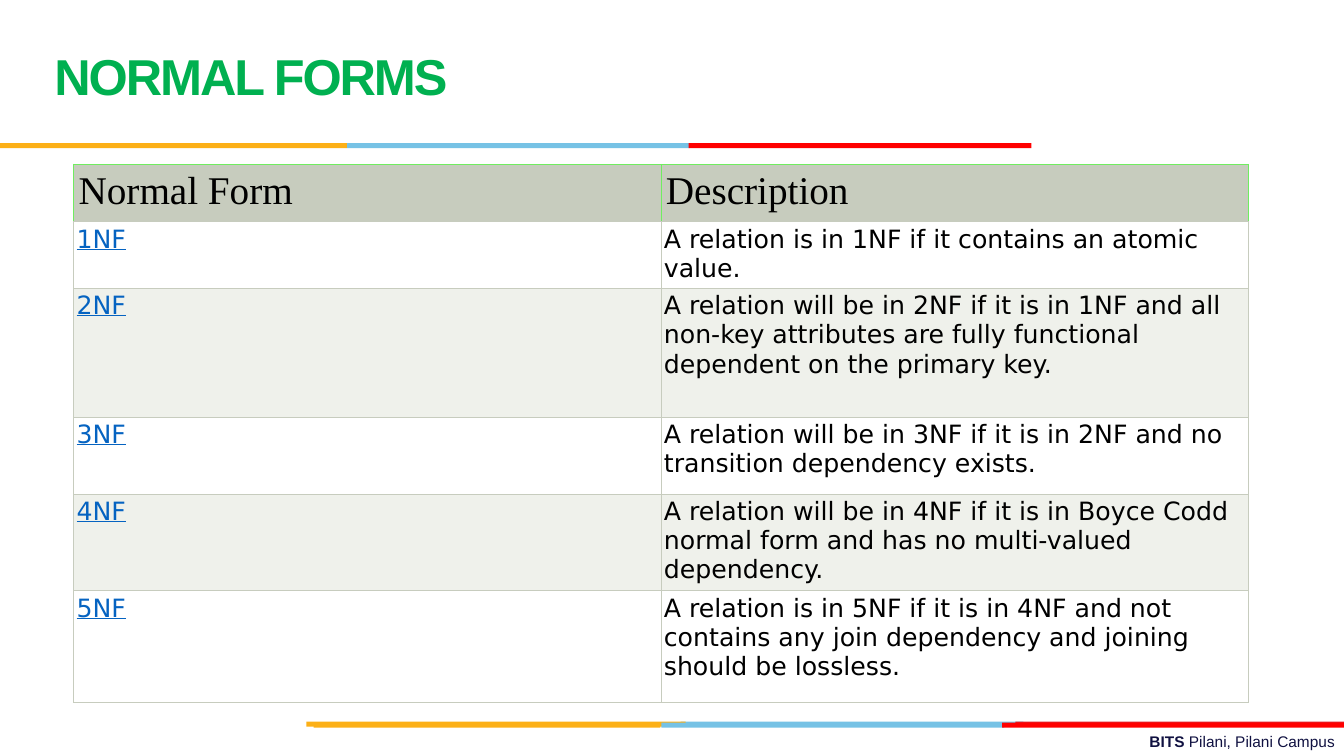
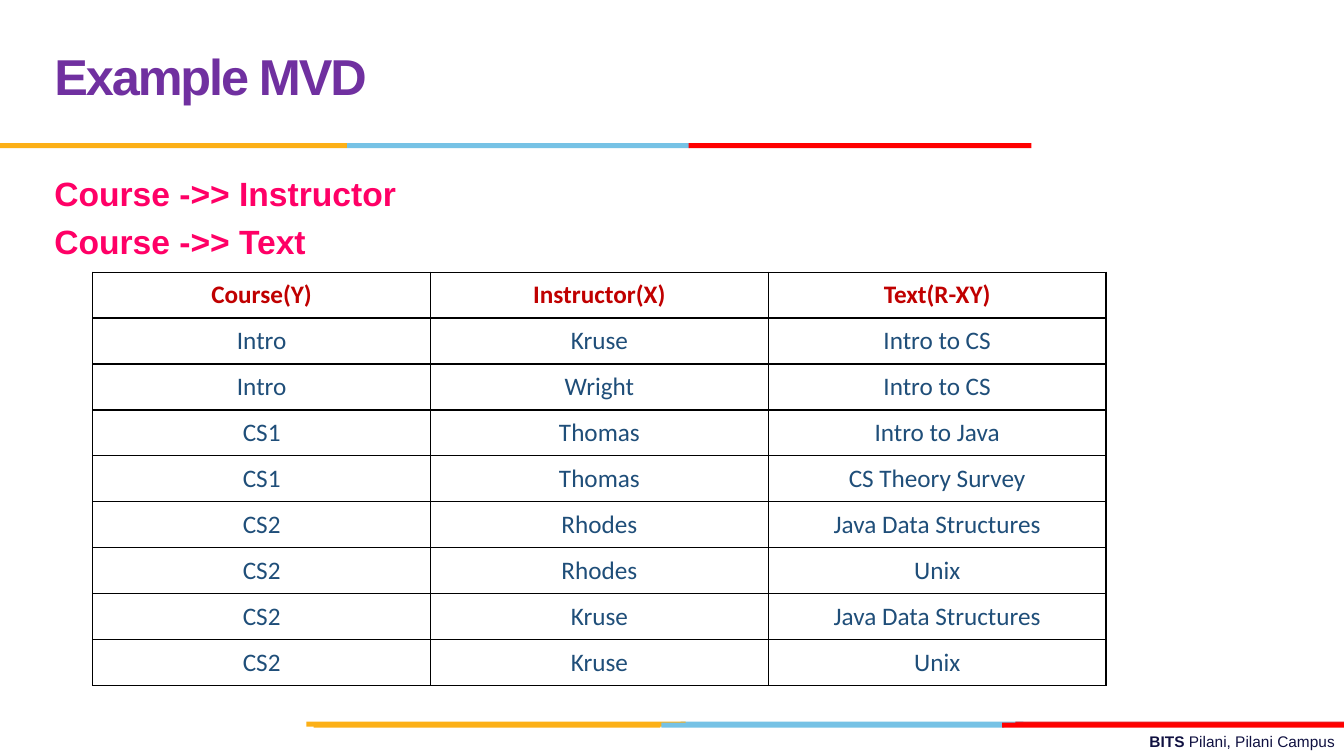
from dataclasses import dataclass
from typing import Optional

from lxml.etree import SubElement
from pptx import Presentation
from pptx.dml.color import RGBColor
from pptx.enum.shapes import MSO_SHAPE
from pptx.enum.text import MSO_ANCHOR, MSO_AUTO_SIZE, PP_ALIGN
from pptx.oxml import parse_xml
from pptx.oxml.ns import nsdecls, qn
from pptx.util import Inches, Pt

COLORS = {
    "white": "FFFFFF", "black": "000000", "navy": "101141",
    "gold": "FCB017", "sky": "76C2E5", "brick": "E31C24", "red": "FF0000",
    "green": "00B050", "purple": "7030A0", "pink": "FF0066",
    "sage": "C7CCBE", "pale": "EFF1EB", "lime": "70ED60",
    "link": "0563C1", "wine": "C00000", "blue": "1F4E79",
}


@dataclass(frozen=True)
class Band:
    left: float
    top: float
    width: float
    color: str


@dataclass(frozen=True)
class Style:
    size: float
    font: str
    color: str
    bold: bool = False
    under: bool = False
    track: int = 0


@dataclass(frozen=True)
class Look:
    style: Style
    edges: tuple[str, str, str, str]
    weight: float
    inset: float = 0
    fill: Optional[str] = None
    align: PP_ALIGN = PP_ALIGN.LEFT
    anchor: MSO_ANCHOR = MSO_ANCHOR.TOP


BANDS = [
    Band(6.75, 7.16, 3.4, "sky"),
    Band(10.07, 7.16, 3.26, "brick"),
    Band(3.04, 7.16, 3.76, "gold"),
    Band(6.56, 7.17, 3.4, "sky"),
    Band(3.11, 7.17, 3.44, "gold"),
    Band(9.94, 7.17, 3.4, "red"),
    Band(3.44, 1.42, 3.4, "sky"),
    Band(0, 1.42, 3.44, "gold"),
    Band(6.83, 1.42, 3.4, "red"),
]

FORMS = [
    ("Normal Form", "Description"),
    ("1NF", "A relation is in 1NF if it contains an atomic value."),
    ("2NF", "A relation will be in 2NF if it is in 1NF and all non-key attributes "
            "are fully functional dependent on the primary key."),
    ("3NF", "A relation will be in 3NF if it is in 2NF and no transition dependency exists."),
    ("4NF", "A relation will be in 4NF if it is in Boyce Codd normal form "
            "and has no multi-valued dependency."),
    ("5NF", "A relation is in 5NF if it is in 4NF and not contains any join dependency "
            "and joining should be lossless."),
]

COURSES = [
    ("Course(Y)", "Instructor(X)", "Text(R-XY)"),
    ("Intro", "Kruse", "Intro to CS"),
    ("Intro", "Wright", "Intro to CS"),
    ("CS1", "Thomas", "Intro to Java"),
    ("CS1", "Thomas", "CS Theory Survey"),
    ("CS2", "Rhodes", "Java Data Structures"),
    ("CS2", "Rhodes", "Unix"),
    ("CS2", "Kruse", "Java Data Structures"),
    ("CS2", "Kruse", "Unix"),
]


def shade(name: str) -> RGBColor:
    return RGBColor.from_string(COLORS[name])


def add_run(para, text: str, style: Style) -> None:
    run = para.add_run()
    run.text = text
    font = run.font
    font.size, font.name = Pt(style.size), style.font
    font.bold, font.underline = style.bold, style.under
    font.color.rgb = shade(style.color)
    if style.track:
        run._r.get_or_add_rPr().set("spc", str(style.track))


def add_box(slide, left: float, top: float, width: float, height: float):
    box = slide.shapes.add_textbox(Inches(left), Inches(top), Inches(width), Inches(height))
    box.text_frame.word_wrap = True
    return box.text_frame


def add_band(slide, band: Band) -> None:
    bar = slide.shapes.add_shape(MSO_SHAPE.RECTANGLE, Inches(band.left), Inches(band.top),
                                 Inches(band.width), Inches(0.05))
    bar.shadow.inherit = False
    bar.fill.solid()
    bar.fill.fore_color.rgb = shade(band.color)
    bar.line.fill.background()


def add_page(deck, title: str, color: str):
    slide = deck.slides.add_slide(deck.slide_layouts[5])
    para = add_box(slide, 4.78, 7.21, 8.56, 0.29).paragraphs[0]
    para.alignment = PP_ALIGN.RIGHT
    add_run(para, "BITS ", Style(11, "Arial", "navy", bold=True))
    add_run(para, "Pilani, Pilani Campus", Style(11, "Arial", "navy"))
    for band in BANDS:
        add_band(slide, band)
    head = slide.shapes.title
    head.left, head.top = Inches(0.44), Inches(0.17)
    head.width, head.height = Inches(9.22), Inches(1.25)
    frame = head.text_frame
    frame.auto_size = MSO_AUTO_SIZE.NONE
    frame.vertical_anchor = MSO_ANCHOR.MIDDLE
    para = frame.paragraphs[0]
    para.alignment = PP_ALIGN.LEFT
    para.line_spacing = Pt(36)
    add_run(para, title, Style(36, "Arial", color, bold=True, track=-150))
    return slide


def set_edges(cell, look: Look) -> None:
    props = cell._tc.get_or_add_tcPr()
    for spot, (side, color) in enumerate(zip("LRTB", look.edges)):
        line = parse_xml(f'<a:ln{side} {nsdecls("a")} w="{Pt(look.weight)}"/>')
        fill = SubElement(line, qn("a:solidFill"))
        SubElement(fill, qn("a:srgbClr"), val=COLORS[color])
        props.insert(spot, line)


def fill_cell(cell, text: str, look: Look) -> None:
    inset = Inches(look.inset)
    cell.margin_left = cell.margin_right = inset
    cell.margin_top = cell.margin_bottom = inset
    cell.vertical_anchor = look.anchor
    if look.fill:
        cell.fill.solid()
        cell.fill.fore_color.rgb = shade(look.fill)
    else:
        cell.fill.background()
    set_edges(cell, look)
    para = cell.text_frame.paragraphs[0]
    para.alignment = look.align
    add_run(para, text, look.style)


def add_grid(slide, left: float, top: float, width: float, heights: list[float], data, pick) -> None:
    count = len(data[0])
    table = slide.shapes.add_table(len(data), count, Inches(left), Inches(top),
                                   Inches(width), Inches(sum(heights))).table
    table.first_row = table.horz_banding = False
    for col in table.columns:
        col.width = Inches(width / count)
    for row, height in enumerate(heights):
        table.rows[row].height = Inches(height)
        for col, text in enumerate(data[row]):
            fill_cell(table.cell(row, col), text, pick(row, col))


def form_look(row: int, col: int) -> Look:
    if row == 0:
        return Look(Style(28, "Times New Roman", "black"),
                    ("lime", "lime", "lime", "sage"), 0.5, 0.05, "sage")
    link = col == 0
    style = Style(18, "DejaVu Sans", "link" if link else "black", under=link)
    return Look(style, ("sage",) * 4, 0.5, 0.03, "white" if row % 2 else "pale")


def course_look(row: int, col: int) -> Look:
    top = row == 0
    style = Style(18, "Calibri", "wine" if top else "blue", bold=top)
    return Look(style, ("black",) * 4, 1, align=PP_ALIGN.CENTER, anchor=MSO_ANCHOR.MIDDLE)


def main() -> None:
    deck = Presentation()
    deck.slide_width, deck.slide_height = Inches(13.33), Inches(7.5)

    slide = add_page(deck, "NORMAL FORMS", "green")
    add_grid(slide, 0.73, 1.63, 11.65, [0.57, 0.66, 1.28, 0.76, 0.96, 1.11], FORMS, form_look)

    slide = add_page(deck, "Example MVD", "purple")
    frame = add_box(slide, 0.44, 1.67, 12, 1)
    style = Style(24, "Arial", "pink", bold=True)
    add_run(frame.paragraphs[0], "Course ->> Instructor", style)
    para = frame.add_paragraph()
    para.space_before = Pt(5.5)
    add_run(para, "Course ->> Text", style)
    add_grid(slide, 0.92, 2.7, 10.05, [4.1 / len(COURSES)] * len(COURSES), COURSES, course_look)

    deck.save("out.pptx")


if __name__ == "__main__":
    main()
